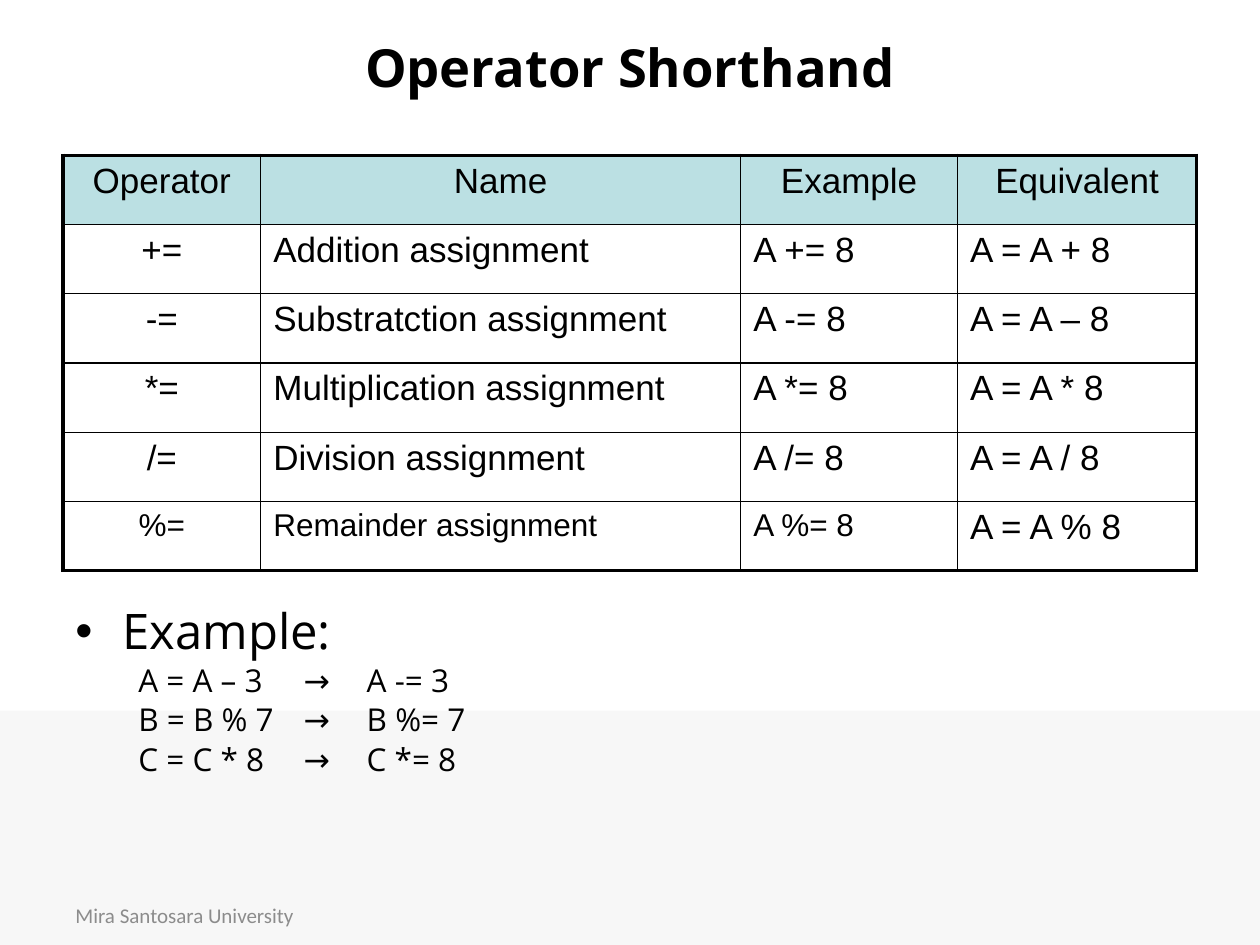
from dataclasses import dataclass

from lxml.etree import SubElement
from pptx import Presentation
from pptx.dml.color import RGBColor
from pptx.enum.shapes import MSO_SHAPE
from pptx.enum.text import MSO_ANCHOR, PP_ALIGN
from pptx.oxml.ns import qn
from pptx.util import Pt


@dataclass(frozen=True)
class Theme:
    black: str = "000000"
    band: str = "F7F7F7"
    header: str = "BBE0E3"
    footer: str = "8C8C8C"
    text_font: str = "Open Sans"
    table_font: str = "Arial"
    footer_font: str = "Calibri"
    title_size: int = 30
    lead_size: int = 28
    cell_size: int = 20
    small_size: int = 18
    footer_size: int = 12
    inner_line: int = 1
    outer_line: int = 2


THEME = Theme()
LEFT, WIDTH = 36, 648
ROW_HEIGHT = 39.6
COLUMN_WIDTHS = [113, 274.3, 123.9, 136.8]
HEADERS = ["Operator", "Name", "Example", "Equivalent"]
OPERATORS = [
    ("+=", "Addition assignment", "A += 8", "A = A + 8"),
    ("-=", "Substratction assignment", "A -= 8", "A = A – 8"),
    ("*=", "Multiplication assignment", "A *= 8", "A = A * 8"),
    ("/=", "Division assignment", "A /= 8", "A = A / 8"),
    ("%=", "Remainder assignment", "A %= 8", "A = A % 8"),
]
EXAMPLES = [("A = A – 3", "A -= 3"), ("B = B % 7", "B %= 7"), ("C = C * 8", "C *= 8")]


def box(left, top, width, height):
    return [Pt(v) for v in (left, top, width, height)]


def write(p, text, font, size, color=THEME.black, bold=False, **paragraph_format):
    """Add one formatted run to a paragraph and format the paragraph."""
    for name, value in paragraph_format.items():
        setattr(p, name, value)
    r = p.add_run()
    r.text = text
    for name, value in {"name": font, "size": Pt(size), "bold": bold}.items():
        setattr(r.font, name, value)
    r.font.color.rgb = RGBColor.from_string(color)


def indent(p, margin, first_line, bullet=None):
    pPr = p._p.get_or_add_pPr()
    pPr.set("marL", str(Pt(margin)))
    pPr.set("indent", str(Pt(first_line)))
    if bullet:
        SubElement(pPr, qn("a:buFont"), typeface="Arial")
        SubElement(pPr, qn("a:buChar"), char=bullet)


def add_band(s):
    sp = s.shapes.add_shape(MSO_SHAPE.RECTANGLE, *box(0, 406, 720, 134))
    sp.shadow.inherit = False
    sp.fill.solid()
    sp.fill.fore_color.rgb = RGBColor.from_string(THEME.band)
    sp.line.fill.background()


def add_title(s, text):
    sp = s.shapes.title
    sp.left, sp.top, sp.width, sp.height = box(LEFT, 9.4, WIDTH, 56.9)
    tf = sp.text_frame
    tf.vertical_anchor = MSO_ANCHOR.MIDDLE
    write(tf.paragraphs[0], text, THEME.text_font, THEME.title_size,
          bold=True, alignment=PP_ALIGN.CENTER)


def add_text_box(s, *place, anchor=MSO_ANCHOR.TOP):
    tf = s.shapes.add_textbox(*box(*place)).text_frame
    tf.word_wrap = True
    tf.vertical_anchor = anchor
    return tf


def add_footer(s, text):
    tf = add_text_box(s, LEFT, 508.3, 168, 28.8, anchor=MSO_ANCHOR.MIDDLE)
    write(tf.paragraphs[0], text, THEME.footer_font, THEME.footer_size, THEME.footer)


def set_borders(cell, outer_sides):
    tcPr = cell._tc.get_or_add_tcPr()
    for side in "LRTB":
        width = THEME.outer_line if side in outer_sides else THEME.inner_line
        ln = SubElement(tcPr, qn(f"a:ln{side}"), w=str(Pt(width)))
        fill = SubElement(ln, qn("a:solidFill"))
        SubElement(fill, qn("a:srgbClr"), val=THEME.black)


def add_operator_table(s):
    rows = [HEADERS, *OPERATORS]
    last_row, last_col = len(rows) - 1, len(HEADERS) - 1
    place = box(LEFT, 88.6, sum(COLUMN_WIDTHS), ROW_HEIGHT * len(rows))
    table = s.shapes.add_table(len(rows), len(HEADERS), *place).table
    table.first_row = table.horz_banding = False
    for column, width in zip(table.columns, COLUMN_WIDTHS):
        column.width = Pt(width)
    for i, row in enumerate(rows):
        table.rows[i].height = Pt(ROW_HEIGHT)
        for j, text in enumerate(row):
            cell = table.cell(i, j)
            outer = {"L": j == 0, "R": j == last_col, "T": i == 0, "B": i == last_row}
            set_borders(cell, [side for side, on in outer.items() if on])
            if i == 0:
                cell.fill.solid()
                cell.fill.fore_color.rgb = RGBColor.from_string(THEME.header)
            else:
                cell.fill.background()
            small = i == last_row and j < last_col
            centred = i == 0 or j == 0
            p = cell.text_frame.paragraphs[0]
            write(p, text, THEME.table_font,
                  THEME.small_size if small else THEME.cell_size,
                  alignment=PP_ALIGN.CENTER if centred else PP_ALIGN.LEFT)
            indent(p, 27, -27)


def add_examples(s):
    tf = add_text_box(s, LEFT, 343.4, WIDTH, 152.6)
    p = tf.paragraphs[0]
    write(p, "Example:", THEME.text_font, THEME.lead_size, line_spacing=0.9)
    indent(p, 27, -27, bullet="•")
    for long_form, short_form in EXAMPLES:
        p = tf.add_paragraph()
        write(p, f"{long_form}\t→\t{short_form}", THEME.text_font, THEME.small_size,
              level=1, line_spacing=0.9, space_before=Pt(3))
        indent(p, 58.5, -22.5)


def main():
    prs = Presentation()
    prs.slide_width, prs.slide_height = Pt(720), Pt(540)
    s = prs.slides.add_slide(prs.slide_layouts[5])
    add_band(s)
    add_footer(s, "Mira Santosara University")
    add_title(s, "Operator Shorthand")
    add_operator_table(s)
    add_examples(s)
    prs.save("out.pptx")


if __name__ == "__main__":
    main()
